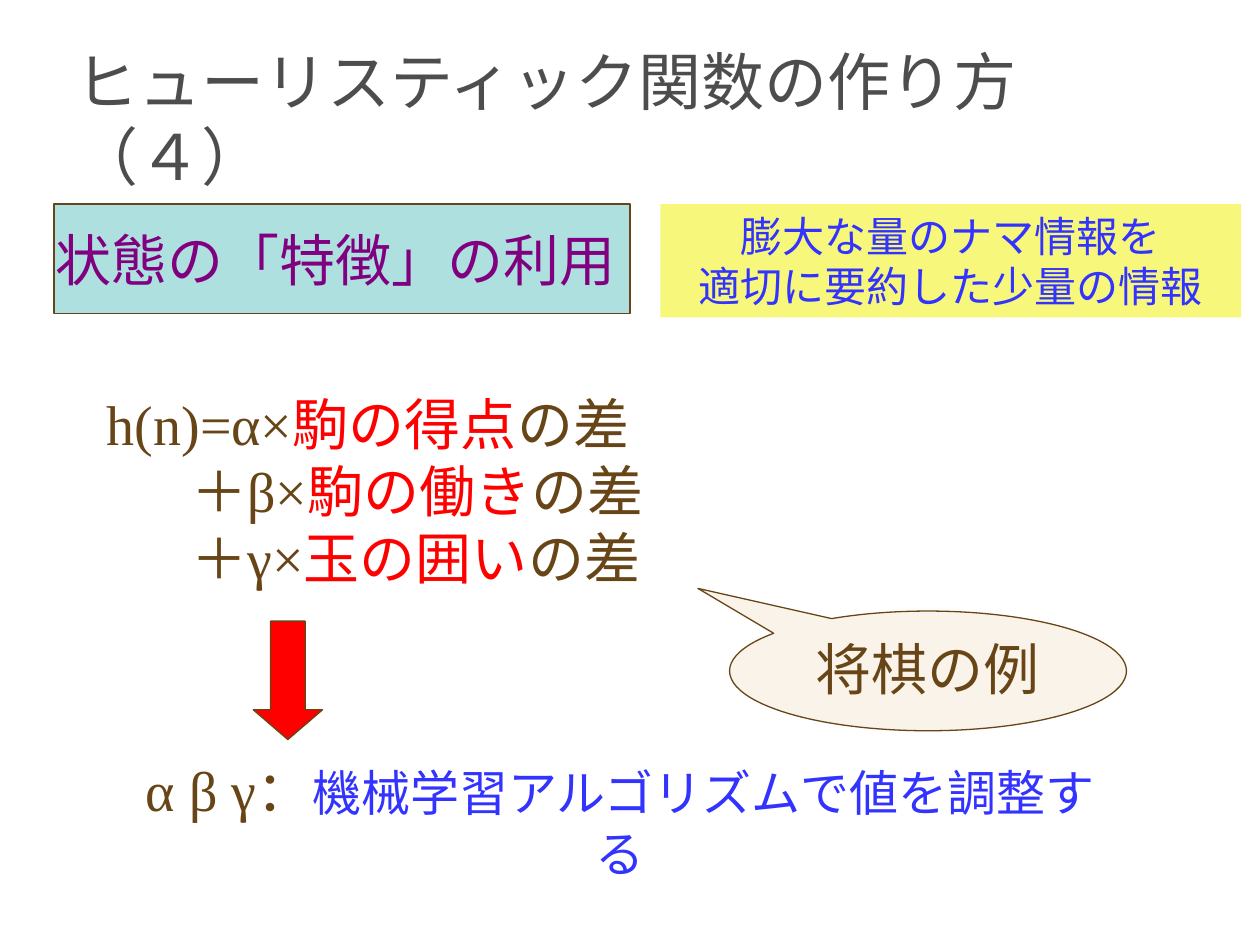
import pptx
import pptx.util
import pptx.dml.color
import pptx.enum.shapes
import pptx.enum.text

Inches = pptx.util.Inches
SHAPES = pptx.enum.shapes.MSO_SHAPE
ANCHORS = pptx.enum.text.MSO_ANCHOR
ALIGNMENTS = pptx.enum.text.PP_ALIGN

BROWN = "674517"
RED = "FF0000"
BLUE = "3333FF"
PURPLE = "800080"
GRAY = "4D4D4D"
CYAN = "AEE0DF"
YELLOW = "F7F77B"
CREAM = "FAF3EA"


def color(hex_string):
    return pptx.dml.color.RGBColor.from_string(hex_string)


class SlideBuilder:
    font_name = "Times New Roman"
    line_width = 0.75

    def __init__(self, slide):
        self.slide = slide

    def add_paragraphs(self, shape, paragraphs, align=ALIGNMENTS.LEFT,
                       anchor=ANCHORS.TOP, wrap=True, indent=0):
        """Fill a shape with paragraphs of (text, size, color) runs; indent all but the first."""
        frame = shape.text_frame
        frame.word_wrap = wrap
        frame.vertical_anchor = anchor
        for index, runs in enumerate(paragraphs):
            paragraph = frame.add_paragraph() if index else frame.paragraphs[0]
            if index and indent:
                properties = paragraph._p.get_or_add_pPr()
                properties.set("marL", str(Inches(indent)))
                properties.set("indent", "0")
            paragraph.alignment = align
            for text, size, hex_string in runs:
                run = paragraph.add_run()
                run.text = text
                run.font.name = self.font_name
                run.font.size = pptx.util.Pt(size)
                run.font.color.rgb = color(hex_string)

    def text(self, left, top, width, height, paragraphs, **options):
        box = self.slide.shapes.add_textbox(
            Inches(left), Inches(top), Inches(width), Inches(height))
        self.add_paragraphs(box, paragraphs, **options)

    def shape(self, kind, left, top, width, height, fill, line=BROWN,
              adjustments=(), paragraphs=(), **options):
        shape = self.slide.shapes.add_shape(
            kind, Inches(left), Inches(top), Inches(width), Inches(height))
        shape.shadow.inherit = False
        shape.fill.solid()
        shape.fill.fore_color.rgb = color(fill)
        if line:
            shape.line.color.rgb = color(line)
            shape.line.width = pptx.util.Pt(self.line_width)
        else:
            shape.line.fill.background()
        for index, value in enumerate(adjustments):
            shape.adjustments[index] = value
        self.add_paragraphs(shape, paragraphs, **options)


def main():
    presentation = pptx.Presentation()
    presentation.slide_width = Inches(10)
    presentation.slide_height = Inches(7.5)
    builder = SlideBuilder(presentation.slides.add_slide(presentation.slide_layouts[6]))
    center = ALIGNMENTS.CENTER

    builder.text(0.5, 0.31, 9, 1.25,
                 [[("ヒューリスティック関数の作り方（４）", 36, GRAY)]],
                 anchor=ANCHORS.MIDDLE)
    builder.shape(SHAPES.RECTANGLE, 0.43, 1.62, 4.57, 0.87, CYAN,
                  paragraphs=[[("状態の「特徴」の利用 ", 32, PURPLE)]],
                  align=center, anchor=ANCHORS.MIDDLE, wrap=False)

    terms = [("h(n)=α×", "駒の得点"), ("＋β×", "駒の働き"), ("＋γ×", "玉の囲い")]
    builder.text(0.75, 3.04, 5.27, 1.7,
                 [[(weight, 32, BROWN), (feature, 32, RED), ("の差", 32, BROWN)]
                  for weight, feature in terms],
                 indent=0.67)

    builder.shape(SHAPES.OVAL_CALLOUT, 5.79, 4.85, 3.15, 0.95, CREAM,
                  adjustments=(-0.58, -0.69),
                  paragraphs=[[("将棋の例", 32, BROWN)]], align=center)
    builder.shape(SHAPES.DOWN_ARROW, 2.01, 4.93, 0.55, 0.94, RED,
                  adjustments=(0.5, 0.43))
    builder.text(0.98, 5.95, 7.88, 1.1,
                 [[("α β γ：", 32, BROWN),
                   ("機械学習アルゴリズムで値を調整する", 28, BLUE)]],
                 align=center)
    builder.shape(SHAPES.RECTANGLE, 5.24, 1.62, 4.61, 0.9, YELLOW, line=None,
                  paragraphs=[[("膨大な量のナマ情報を", 24, BLUE)],
                              [("適切に要約した少量の情報", 24, BLUE)]],
                  align=center)

    presentation.save("out.pptx")


if __name__ == "__main__":
    main()
